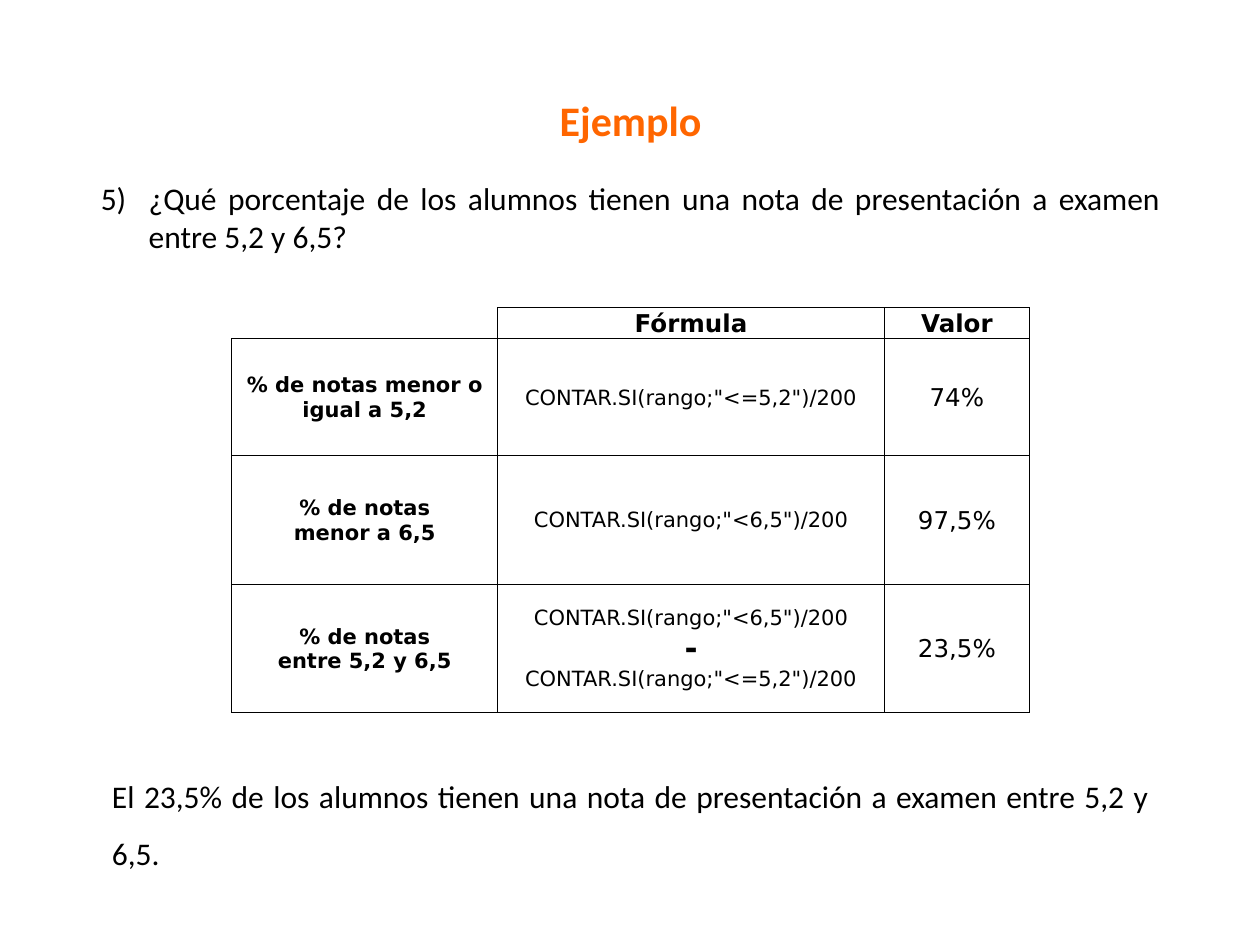
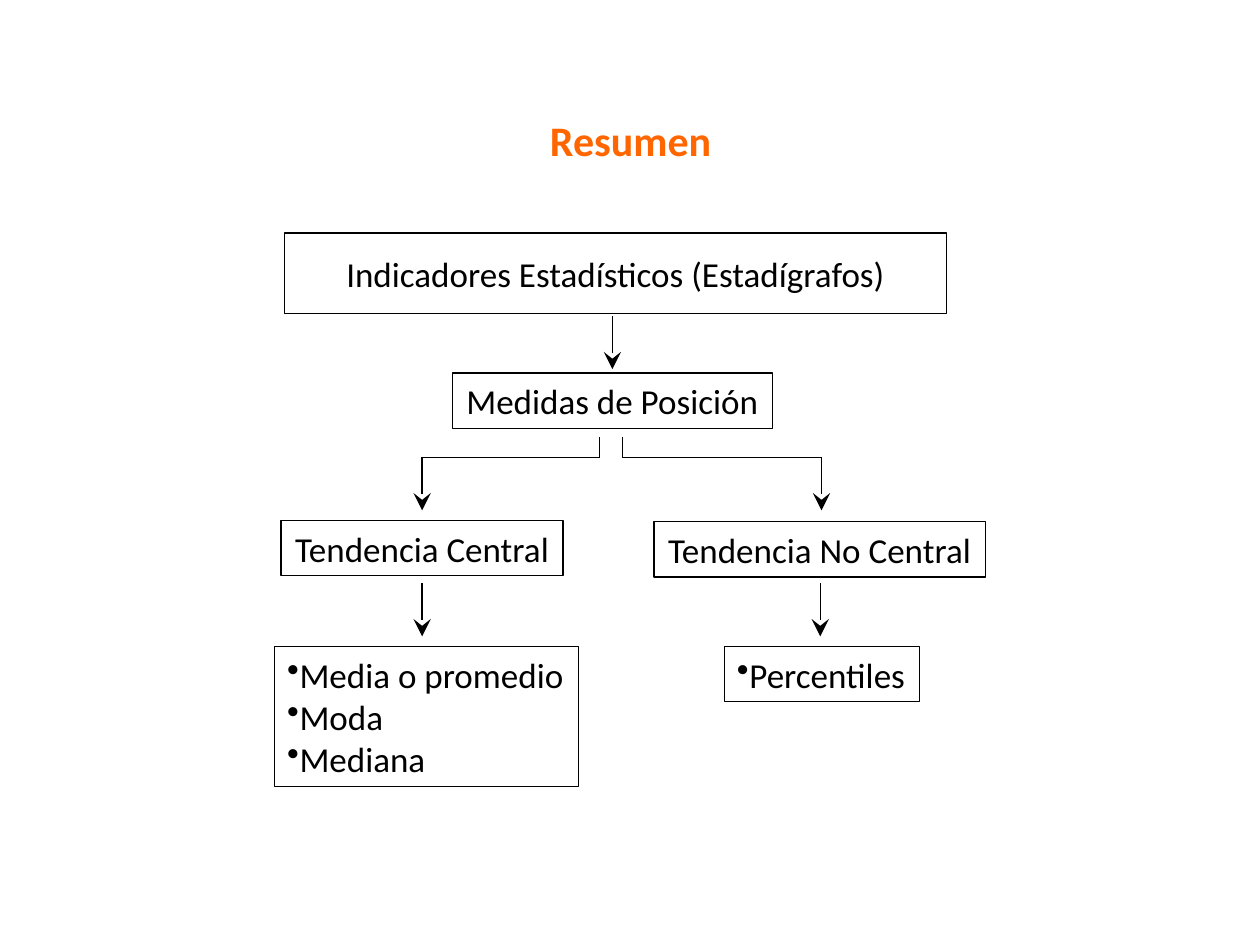
from lxml.etree import SubElement
from pptx import Presentation
from pptx.dml.color import RGBColor
from pptx.enum.shapes import MSO_CONNECTOR, MSO_SHAPE
from pptx.enum.text import MSO_ANCHOR, MSO_AUTO_SIZE, PP_ALIGN
from pptx.oxml.ns import qn
from pptx.util import Pt

PX = 9144
BLACK = "000000"
WHITE = "FFFFFF"
ORANGE = "FF6600"
LEFT, WIDTH = 79, 843


def color(value):
    return RGBColor.from_string(value)


def write(frame, text, size=20, font="Calibri", ink=BLACK, bold=False,
          align=PP_ALIGN.CENTER, spacing=None, hanging=0, bullet=None):
    for index, line in enumerate(text.split("\n")):
        paragraph = frame.paragraphs[0] if index == 0 else frame.add_paragraph()
        paragraph.alignment = align
        if spacing:
            paragraph.line_spacing = spacing
        if bullet:
            tag, attributes = bullet
            properties = paragraph._p.get_or_add_pPr()
            properties.set("marL", str(hanging * PX))
            properties.set("indent", str(-hanging * PX))
            SubElement(properties, qn(tag), attributes)
        if not line:
            SubElement(paragraph._p, qn("a:endParaRPr"), sz=str(size * 100))
            continue
        span = paragraph.add_run()
        span.text = line
        span.font.size = Pt(size)
        span.font.name = font
        span.font.bold = bold
        span.font.color.rgb = color(ink)


deck = Presentation()
deck.slide_width = 1000 * PX
deck.slide_height = 750 * PX

pages = []
for heading, top in (("Ejemplo", 70), ("Resumen", 86)):
    page = deck.slides.add_slide(deck.slide_layouts[5])
    title = page.shapes.title
    title.left, title.top = LEFT * PX, top * PX
    title.width, title.height = WIDTH * PX, 50 * PX
    title.text_frame.auto_size = MSO_AUTO_SIZE.NONE
    write(title.text_frame, heading, size=24, ink=ORANGE, bold=True)
    pages.append(page)
example, summary = pages

question = [["¿Qué porcentaje de los alumnos tienen una nota de presentación "
             "a examen entre 5,2 y 6,5?"]]
below_high = 'CONTAR.SI(rango;"<6,5")/200'
up_to_low = 'CONTAR.SI(rango;"<=5,2")/200'
results = [
    ["", "Fórmula", "Valor"],
    ["% de notas menor o igual a 5,2", up_to_low, "74%"],
    ["% de notas\nmenor a 6,5", below_high, "97,5%"],
    ["% de notas\nentre 5,2 y 6,5", f"{below_high}\n-\n{up_to_low}", "23,5%"],
]

for rows, left, top, widths, heights in (
    (question, LEFT, 134, [WIDTH], [78]),
    (results, 184, 244, [211, 307, 115], [23, 93, 102, 102]),
):
    table = example.shapes.add_table(
        len(rows), len(widths), left * PX, top * PX,
        sum(widths) * PX, sum(heights) * PX).table
    table.first_row = False
    table.horz_banding = False
    for column, width in zip(table.columns, widths):
        column.width = width * PX
    for row, height in zip(table.rows, heights):
        row.height = height * PX
    for r, texts in enumerate(rows):
        for c, text in enumerate(texts):
            cell = table.cell(r, c)
            cell.vertical_anchor = MSO_ANCHOR.MIDDLE
            cell.margin_left = cell.margin_right = cell.margin_top = PX
            cell.margin_bottom = 0
            if rows is question:
                cell.fill.background()
                write(cell.text_frame, text, size=18, align=PP_ALIGN.JUSTIFY, hanging=38,
                      bullet=("a:buAutoNum", {"type": "arabicParenR", "startAt": "5"}))
                continue
            for side in "LRTB" if text else "RB":
                edge = SubElement(cell._tc.get_or_add_tcPr(), qn(f"a:ln{side}"),
                                  w=str(Pt(0.5)))
                SubElement(SubElement(edge, qn("a:solidFill")), qn("a:srgbClr"), val=BLACK)
            cell.fill.solid()
            cell.fill.fore_color.rgb = color(WHITE)
            write(cell.text_frame, text, size=14 if r == 0 or c == 2 else 12,
                  font="DejaVu Sans", bold=r == 0 or c == 0)

minus = table.cell(3, 1).text_frame.paragraphs[1].runs[0]
minus.font.size = Pt(18)
minus.font.bold = True

answer = example.shapes.add_textbox(LEFT * PX, 597 * PX, WIDTH * PX, 96 * PX)
answer.fill.solid()
answer.fill.fore_color.rgb = color(WHITE)
answer.text_frame.word_wrap = True
write(answer.text_frame,
      "El 23,5% de los alumnos tienen una nota de presentación a examen entre 5,2 y 6,5.",
      size=18, align=PP_ALIGN.JUSTIFY, spacing=1.5)

list_format = {"align": PP_ALIGN.LEFT, "bullet": ("a:buChar", {"char": "•"})}
for text, left, top, width, height, text_format in (
    ("Indicadores Estadísticos (Estadígrafos)", 226, 185, 525, 64, {}),
    ("Medidas de Posición", 359, 296, 254, 44, {}),
    ("Tendencia Central", 223, 413, 224, 44, {}),
    ("Tendencia No Central", 519, 414, 263, 44, {}),
    ("Media o promedio\nModa\nMediana", 218, 513, 241, 111, list_format),
    ("Percentiles", 575, 513, 155, 44, list_format),
):
    box = summary.shapes.add_shape(
        MSO_SHAPE.RECTANGLE, left * PX, top * PX, width * PX, height * PX)
    box.shadow.inherit = False
    box.fill.background()
    box.line.color.rgb = color(BLACK)
    box.line.width = Pt(0.75)
    box.text_frame.word_wrap = False
    box.text_frame.vertical_anchor = MSO_ANCHOR.MIDDLE
    write(box.text_frame, text, **text_format)

for x1, y1, x2, y2, has_head in (
    (486, 251, 486, 293, True),
    (476, 347, 476, 363, False),
    (494, 347, 494, 363, False),
    (476, 363, 335, 363, False),
    (494, 363, 652, 363, False),
    (335, 363, 335, 405, True),
    (652, 363, 652, 405, True),
    (335, 463, 335, 505, True),
    (651, 463, 651, 505, True),
):
    link = summary.shapes.add_connector(
        MSO_CONNECTOR.STRAIGHT, x1 * PX, y1 * PX, x2 * PX, y2 * PX)
    link.line.color.rgb = color(BLACK)
    link.line.width = Pt(0.75)
    if has_head:
        SubElement(link.line._get_or_add_ln(), qn("a:tailEnd"),
                   type="stealth", w="lg", len="lg")
    SubElement(link._element.spPr, qn("a:effectLst"))

deck.save("out.pptx")
